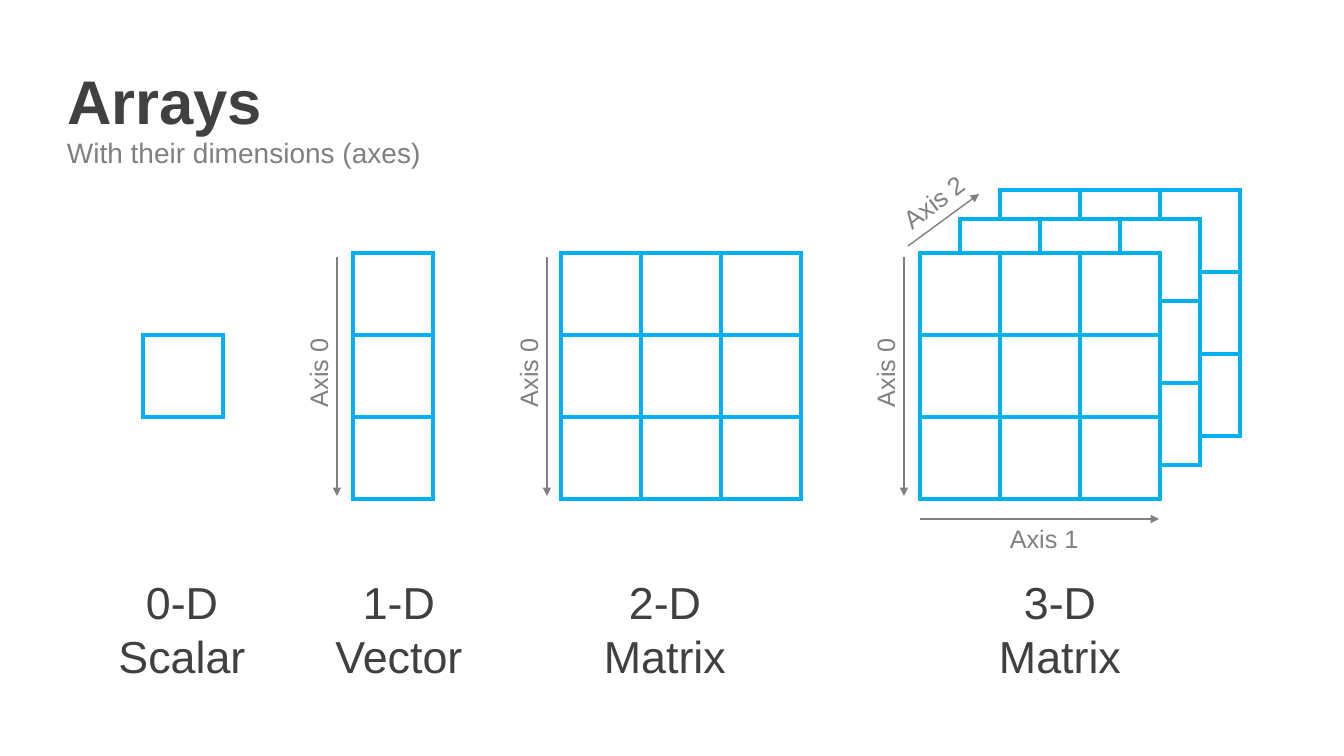
import pptx
import pptx.util
import pptx.dml.color
import pptx.enum.shapes
import pptx.enum.text
import pptx.oxml
import pptx.oxml.ns
import lxml.etree

PX = 914400 / 100.8
COLORS = {"grid": "00B0F0", "cell": "FFFFFF", "dark": "404040", "gray": "808080"}
CELL_W, CELL_H = 80, 82
NS = pptx.oxml.ns.nsdecls("a")


def px(*values):
    return [pptx.util.Emu(round(v * PX)) for v in values]


def put_text(sp, box, lines, size, color, bold=False, centered=False, rotation=0):
    sp.left, sp.top, sp.width, sp.height = px(*box)
    sp.rotation = rotation
    tf = sp.text_frame
    frame = {
        "word_wrap": False,
        "auto_size": pptx.enum.text.MSO_AUTO_SIZE.SHAPE_TO_FIT_TEXT,
        "vertical_anchor": pptx.enum.text.MSO_ANCHOR.TOP,
    }
    for name, value in frame.items():
        setattr(tf, name, value)
    tf.text = "\n".join(lines)
    align = pptx.enum.text.PP_ALIGN
    for p in tf.paragraphs:
        p.alignment = align.CENTER if centered else align.LEFT
        font = p.runs[0].font
        for name, value in {"name": "Arial", "size": pptx.util.Pt(size), "bold": bold}.items():
            setattr(font, name, value)
        font.color.rgb = pptx.dml.color.RGBColor.from_string(COLORS[color])


prs = pptx.Presentation()
prs.slide_width, prs.slide_height = px(1344, 756)
s = prs.slides.add_slide(prs.slide_layouts[5])

# Title
put_text(s.shapes.title, (57, 58, 218, 85), ["Arrays"], 44, "dark", bold=True)

# Arrays: left, top, rows, columns, back to front
arrays = [
    (143, 335, 1, 1),
    (561, 253, 3, 3),
    (1000, 190, 3, 3),
    (960, 219, 3, 3),
    (920, 253, 3, 3),
    (353, 253, 3, 1),
]
for left, top, rows, cols in arrays:
    frame = s.shapes.add_table(rows, cols, *px(left, top, cols * CELL_W, rows * CELL_H))
    table = frame.table
    table.first_row = table.horz_banding = False
    for col in table.columns:
        col.width = px(CELL_W)[0]
    for row in table.rows:
        row.height = px(CELL_H)[0]
    for cell in table.iter_cells():
        tcPr = cell._tc.get_or_add_tcPr()
        for side in "LRTB":
            tcPr.append(pptx.oxml.parse_xml(
                f'<a:ln{side} {NS} w="38100"><a:solidFill>'
                f'<a:srgbClr val="{COLORS["grid"]}"/></a:solidFill></a:ln{side}>'))
        cell.fill.solid()
        cell.fill.fore_color.rgb = pptx.dml.color.RGBColor.from_string(COLORS["cell"])

# Captions: centre, width, lines
captions = [
    (182, 148, ["0-D", "Scalar"]),
    (399, 148, ["1-D", "Vector"]),
    (665, 143, ["2-D", "Matrix"]),
    (1060, 143, ["3-D", "Matrix"]),
]
for center, width, lines in captions:
    put_text(s.shapes.add_textbox(0, 0, 0, 0), (center - width / 2, 570, width, 119),
             lines, 32, "dark", centered=True)

# Axes: arrow start and end, label, label corner, rotation
axes = [((x, 257, x, 496), "Axis 0", (x - 64, 352), 270) for x in (337, 547, 904)]
axes += [
    ((920, 519, 1159, 519), "Axis 1", (1000, 518), 0),
    ((908, 246, 979, 194), "Axis 2", (889, 181), 322.6),
]
for ends, label, corner, rotation in axes:
    line = s.shapes.add_connector(pptx.enum.shapes.MSO_CONNECTOR.STRAIGHT, *px(*ends))
    line.line.width = pptx.util.Pt(1)
    line.line.color.rgb = pptx.dml.color.RGBColor.from_string(COLORS["gray"])
    tail = lxml.etree.SubElement(line.line._get_or_add_ln(), pptx.oxml.ns.qn("a:tailEnd"))
    tail.set("type", "triangle")
    lxml.etree.SubElement(line._element.spPr, pptx.oxml.ns.qn("a:effectLst"))
    put_text(s.shapes.add_textbox(0, 0, 0, 0), (*corner, 90, 40), [label], 18, "gray",
             rotation=rotation)

# Subtitle
put_text(s.shapes.add_textbox(0, 0, 0, 0), (57, 131, 377, 44),
         ["With their dimensions (axes)"], 20, "gray")

prs.save("out.pptx")
